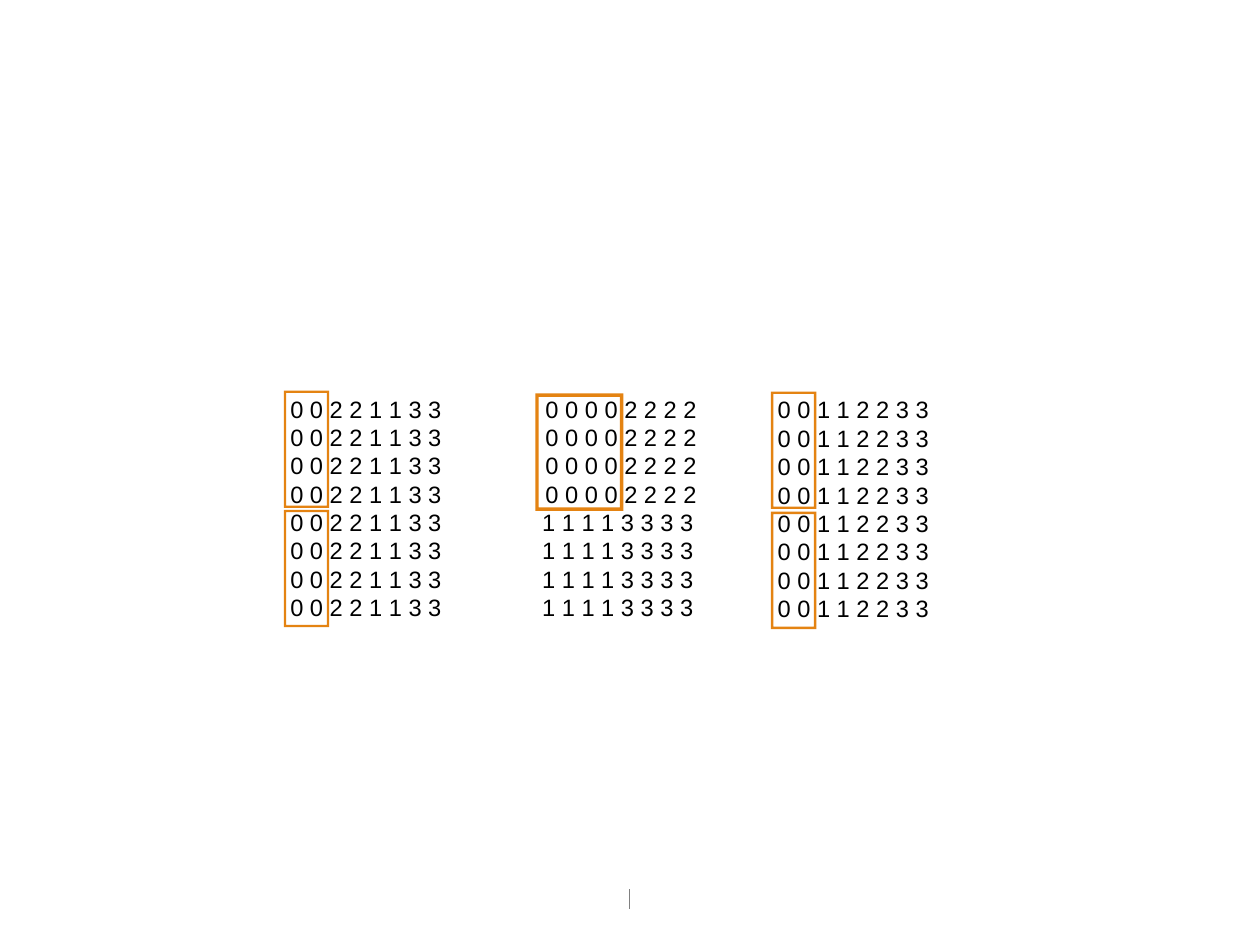
from lxml import etree
from pptx import Presentation
from pptx.dml.color import RGBColor
from pptx.enum.shapes import MSO_CONNECTOR, MSO_SHAPE
from pptx.enum.text import PP_ALIGN
from pptx.oxml.ns import qn
from pptx.util import Inches, Pt

BLACK = RGBColor(0x00, 0x00, 0x00)
GRAY = RGBColor(0x80, 0x80, 0x80)
ORANGE = RGBColor(0xE4, 0x83, 0x12)

GRID_HEIGHT = 2.52
FRAME_HEIGHT = 1.24

# Each grid: left, top, width, alignment, rows,
# frames as (dx, dy, width, border share), relative to the grid
GRIDS = [
    (2.97, 4.12, 1.88, PP_ALIGN.LEFT, ["0 0 2 2 1 1 3 3"] * 8,
     [(0.03, 0.01, 0.48, 0.052), (0.03, 1.27, 0.48, 0.052)]),
    (5.54, 4.12, 2.05, PP_ALIGN.CENTER,
     ["0 0 0 0 2 2 2 2"] * 4 + ["1 1 1 1 3 3 3 3 "] * 4,
     [(0.12, 0.04, 0.93, 0.038)]),
    (8.09, 4.13, 1.86, PP_ALIGN.CENTER, ["0 0 1 1 2 2 3 3"] * 8,
     [(0.06, 0.01, 0.48, 0.052), (0.06, 1.28, 0.48, 0.052)]),
]


def add_text(p, text, size=18, font="Arial", color=BLACK,
             align=PP_ALIGN.LEFT, line=21.6):
    p.alignment = align
    p.line_spacing = Pt(line)
    r = p.add_run()
    r.text = text
    r.font.size = Pt(size)
    r.font.name = font
    r.font.color.rgb = color


def add_frame(s, left, top, width, border):
    sp = s.shapes.add_shape(MSO_SHAPE.FRAME, Inches(left), Inches(top),
                            Inches(width), Inches(FRAME_HEIGHT))
    sp.adjustments[0] = border
    sp.shadow.inherit = False
    sp.fill.solid()
    sp.fill.fore_color.rgb = ORANGE
    sp.line.fill.background()


def add_grid(s, left, top, width, align, rows, frames):
    # Digits, one paragraph per row
    sp = s.shapes.add_textbox(Inches(left), Inches(top),
                              Inches(width), Inches(GRID_HEIGHT))
    tf = sp.text_frame
    tf.word_wrap = True
    for i, row in enumerate(rows):
        p = tf.add_paragraph() if i else tf.paragraphs[0]
        add_text(p, row, align=align)

    # Frames around the blocks of zeros
    for dx, dy, frame_width, border in frames:
        add_frame(s, left + dx, top + dy, frame_width, border)


def add_footer_mark(s, x, top, height):
    mark = s.shapes.add_connector(MSO_CONNECTOR.STRAIGHT, Inches(x), Inches(top),
                                  Inches(x), Inches(top + height))
    mark.line.color.rgb = GRAY
    mark.line.width = Pt(0.75)
    etree.SubElement(mark._element.spPr, qn("a:effectLst"))


def main():
    prs = Presentation()
    prs.slide_width, prs.slide_height = Inches(13.32), Inches(9.99)
    s = prs.slides.add_slide(prs.slide_layouts[6])
    add_footer_mark(s, 6.66, 9.4, 0.21)
    for grid in GRIDS:
        add_grid(s, *grid)
    prs.save("out.pptx")


if __name__ == "__main__":
    main()
